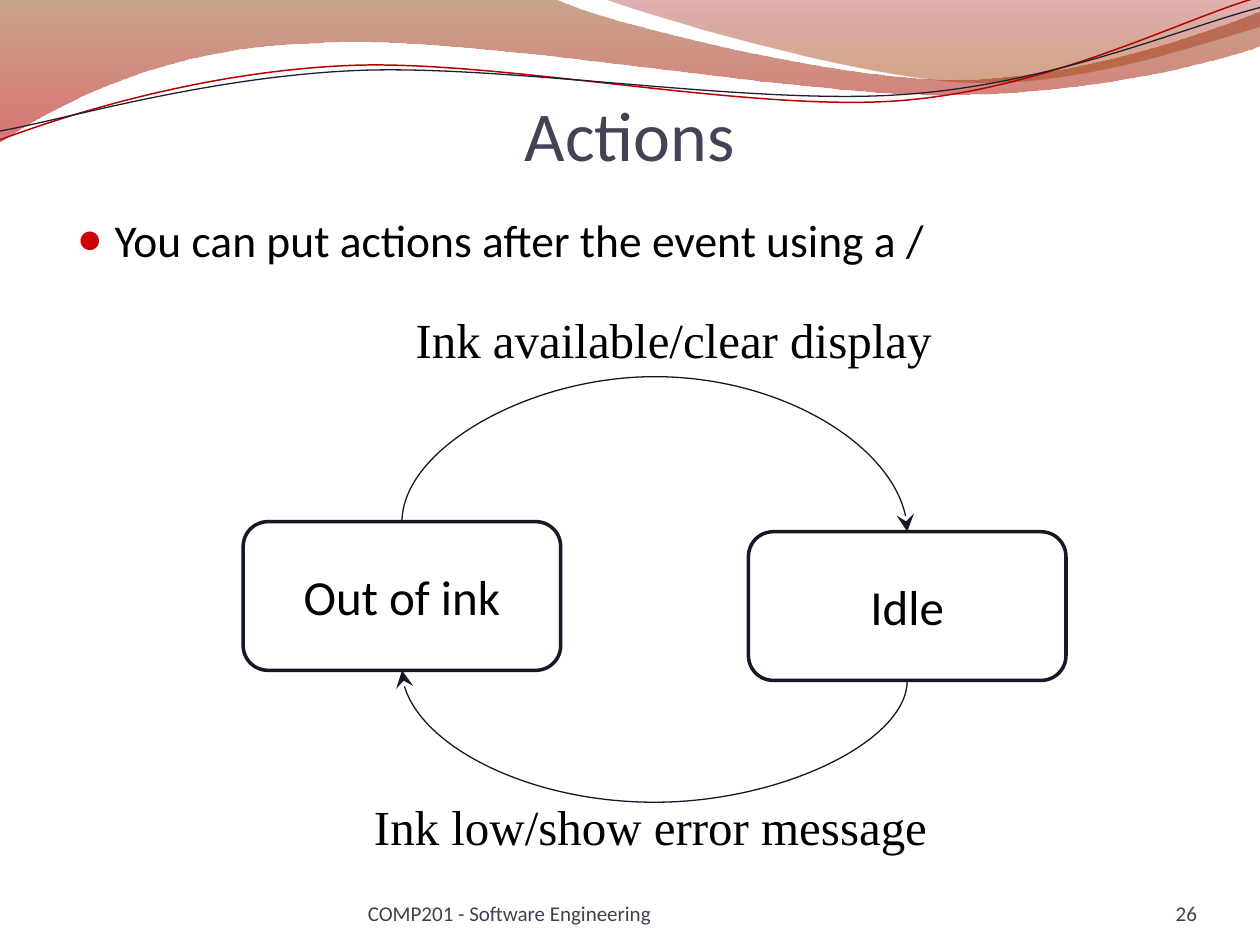
import math
from dataclasses import dataclass

from lxml import etree
from pptx import Presentation
from pptx.dml.color import RGBColor
from pptx.enum import shapes, text
from pptx.oxml import ns
from pptx.util import Inches, Pt


@dataclass(frozen=True)
class Theme:
    sans: str = "Calibri"
    serif: str = "Times New Roman"
    title: str = "424456"
    ink: str = "000000"
    footer: str = "3F4152"
    bullet: str = "CE0202"
    line: str = "171726"
    paper: str = "FFFFFF"
    red_wave: str = "B60202"
    dark_wave: str = "1F1F33"
    title_size: int = 40
    body_size: int = 26
    diagram_size: int = 28
    footer_size: int = 12


theme = Theme()


def write(shape, words, size, color, font=theme.sans, align=text.PP_ALIGN.LEFT,
          anchor=text.MSO_ANCHOR.TOP, insets=(0.1, 0.05, 0.1, 0.05), wrap=True):
    """Fill a shape with one formatted run and return its paragraph."""
    frame = shape.text_frame
    frame.auto_size = text.MSO_AUTO_SIZE.NONE
    frame.word_wrap = wrap
    frame.vertical_anchor = anchor
    (frame.margin_left, frame.margin_top,
     frame.margin_right, frame.margin_bottom) = map(Inches, insets)
    paragraph = frame.paragraphs[0]
    paragraph.alignment = align
    paragraph.space_before = Pt(0)
    run = paragraph.add_run()
    run.text = words
    run.font.name = font
    run.font.size = Pt(size)
    run.font.color.rgb = RGBColor.from_string(color)
    return paragraph


def draw_path(parent, start, segments, closed, tilt=0, center=(0, 0)):
    """Build a freeform from lines (x, y) and cubic curves (x1, y1, x2, y2, x, y).

    A tilted shape is laid out level about its center and then turned by tilt degrees.
    """
    cos, sin = math.cos(math.radians(-tilt)), math.sin(math.radians(-tilt))
    outline = []
    for numbers in [start, *segments]:
        offsets = [(x - center[0], y - center[1]) for x, y in zip(numbers[::2], numbers[1::2])]
        outline.append([(Inches(center[0] + x * cos - y * sin),
                         Inches(center[1] + x * sin + y * cos)) for x, y in offsets])
    ends = [points[-1] for points in outline]
    builder = parent.build_freeform(*ends[0])
    builder.add_line_segments(ends[1:], close=closed)
    shape = builder.convert_to_shape()
    shape.shadow.inherit = False
    shape.rotation = tilt
    for points, line in zip(outline[1:], list(shape._element.iter(ns.qn("a:lnTo")))):
        if len(points) == 3:
            curve = etree.Element(ns.qn("a:cubicBezTo"))
            for x, y in points:
                etree.SubElement(curve, ns.qn("a:pt"), x=str(x - shape.left), y=str(y - shape.top))
            line.getparent().replace(line, curve)
    return shape


presentation = Presentation()
presentation.slide_width = Inches(10)
presentation.slide_height = Inches(7.5)
slide = presentation.slides.add_slide(presentation.slide_layouts[1])
slide.background.fill.solid()
slide.background.fill.fore_color.rgb = RGBColor.from_string(theme.paper)

# Header bands: start, segments, gradient stops (position, colour, opacity)
bands = [
    ((0, 0),
     [(4.4, -0.01), (4.76, 0.17, 6.64, 0.63, 7.58, 0.63), (8.53, 0.63, 9.58, 0.26, 10, 0.09),
      (10.01, 0.36), (9.83, 0.44, 8.7, 0.76, 7.46, 0.75), (6.22, 0.75, 3.82, 0.28, 2.57, 0.34),
      (1.29, 0.36, 0.46, 0.83, -0.01, 1.13)],
     [(0, "883400", 45), (1, "BD0000", 55)]),
    ((4.79, -0.01),
     [(5.09, 0.11, 6.82, 0.62, 7.69, 0.65), (8.56, 0.69, 9.61, 0.32, 10, 0.21), (10, 0)],
     [(0, "9A0000", 30), (0.8, "A23E00", 45)]),
]
for start, segments, stops in bands:
    band = draw_path(slide.shapes, start, segments, closed=True)
    band.line.fill.background()
    band.fill.gradient()
    band.fill.gradient_angle = 270
    for stop, (position, color, _) in zip(band.fill.gradient_stops, stops):
        stop.position = position
        stop.color.rgb = RGBColor.from_string(color)
    for color_node, (_, _, opacity) in zip(band._element.spPr.iter(ns.qn("a:srgbClr")), stops):
        etree.SubElement(color_node, ns.qn("a:alpha"), val=str(opacity * 1000))

waves = [
    ((0, 1.11),
     [(0.48, 0.93, 1.58, 0.57, 2.77, 0.52), (3.95, 0.47, 5.93, 0.89, 7.13, 0.8),
      (8.33, 0.71, 9.38, 0.15, 9.98, -0.02)], (4.99, 0.57), theme.red_wave, 0.85),
    ((0, 1.04),
     [(0.47, 0.96, 1.64, 0.61, 2.83, 0.56), (4.03, 0.51, 5.97, 0.84, 7.17, 0.75),
      (8.36, 0.67, 9.41, 0.21, 10, 0.06)], (5, 0.59), theme.dark_wave, 0.75),
]
wave_group = slide.shapes.add_group_shape()
for start, segments, center, color, width in waves:
    wave = draw_path(wave_group.shapes, start, segments, closed=False, tilt=-2.7, center=center)
    wave.fill.background()
    wave.line.color.rgb = RGBColor.from_string(color)
    wave.line.width = Pt(width)

# Title and list
title, body = slide.shapes.title, slide.placeholders[1]
title.left, title.top, title.width, title.height = map(Inches, (0.5, 0.52, 9, 0.87))
write(title, "Actions", theme.title_size, theme.title, align=text.PP_ALIGN.CENTER,
      anchor=text.MSO_ANCHOR.BOTTOM, insets=(0, 0.05, 0, 0))

body.left, body.top, body.width, body.height = map(Inches, (0.51, 1.63, 9, 4.8))
paragraph = write(body, "You can put actions after the event using a /", theme.body_size, theme.ink)
properties = paragraph._p.get_or_add_pPr()
properties.set("marL", str(Inches(0.3)))
properties.set("indent", str(-Inches(0.3)))
bullet_color = etree.SubElement(properties, ns.qn("a:buClr"))
etree.SubElement(bullet_color, ns.qn("a:srgbClr"), val=theme.bullet)
etree.SubElement(properties, ns.qn("a:buSzPct"), val="95000")
etree.SubElement(properties, ns.qn("a:buChar"), char="●")

# Footer
for words, left, width, align in [
    ("COMP201 - Software Engineering", 2.92, 3.67, text.PP_ALIGN.LEFT),
    ("26", 8.67, 0.83, text.PP_ALIGN.RIGHT),
]:
    box = slide.shapes.add_textbox(Inches(left), Inches(6.95), Inches(width), Inches(0.4))
    write(box, words, theme.footer_size, theme.footer, align=align,
          anchor=text.MSO_ANCHOR.BOTTOM, insets=(0, 0, 0, 0))

# States
states = []
for words, left, top in [("Out of ink", 1.93, 4.14), ("Idle", 5.94, 4.22)]:
    state = slide.shapes.add_shape(shapes.MSO_SHAPE.ROUNDED_RECTANGLE, Inches(left), Inches(top),
                                   Inches(2.52), Inches(1.18))
    state.shadow.inherit = False
    state.fill.solid()
    state.fill.fore_color.rgb = RGBColor.from_string(theme.paper)
    state.line.color.rgb = RGBColor.from_string(theme.line)
    state.line.width = Pt(2)
    write(state, words, theme.diagram_size, theme.ink, align=text.PP_ALIGN.CENTER,
          anchor=text.MSO_ANCHOR.MIDDLE)
    states.append(state)

# Transitions: connection site, bend as a multiple of the drop, arrow end, label
out_of_ink, idle = states
span, drop = idle.left - out_of_ink.left, idle.top - out_of_ink.top
for site, bend, arrow_end, words, left, top, width in [
    (0, -14.4, "a:tailEnd", "Ink available/clear display", 3.2, 2.41, 4.34),
    (2, 13.1, "a:headEnd", "Ink low/show error message", 2.87, 6.27, 4.64),
]:
    arc = slide.shapes.add_connector(shapes.MSO_CONNECTOR.CURVE, 0, 0, span, drop)
    arc.begin_connect(out_of_ink, site)
    arc.end_connect(idle, site)
    # A vertical departure needs the curve turned a quarter and mirrored about its centre
    center_x, center_y = arc.left + span // 2, arc.top + drop // 2
    arc.left, arc.top = center_x - drop // 2, center_y - span // 2
    arc.width, arc.height = drop, span
    frame = arc._element.spPr.find(ns.qn("a:xfrm"))
    frame.set("rot", str(270 * 60000))
    frame.set("flipH", "1")
    adjustments = arc._element.spPr.find(ns.qn("a:prstGeom")).find(ns.qn("a:avLst"))
    etree.SubElement(adjustments, ns.qn("a:gd"), name="adj1", fmla=f"val {round(bend * 100000)}")
    arc.line.color.rgb = RGBColor.from_string(theme.line)
    arc.line.width = Pt(0.75)
    etree.SubElement(arc.line._get_or_add_ln(), ns.qn(arrow_end), type="stealth", w="lg", len="lg")
    etree.SubElement(arc._element.spPr, ns.qn("a:effectLst"))

    label = slide.shapes.add_textbox(Inches(left), Inches(top), Inches(width), Inches(0.57))
    write(label, words, theme.diagram_size, theme.ink, font=theme.serif, wrap=False)

presentation.save("out.pptx")
